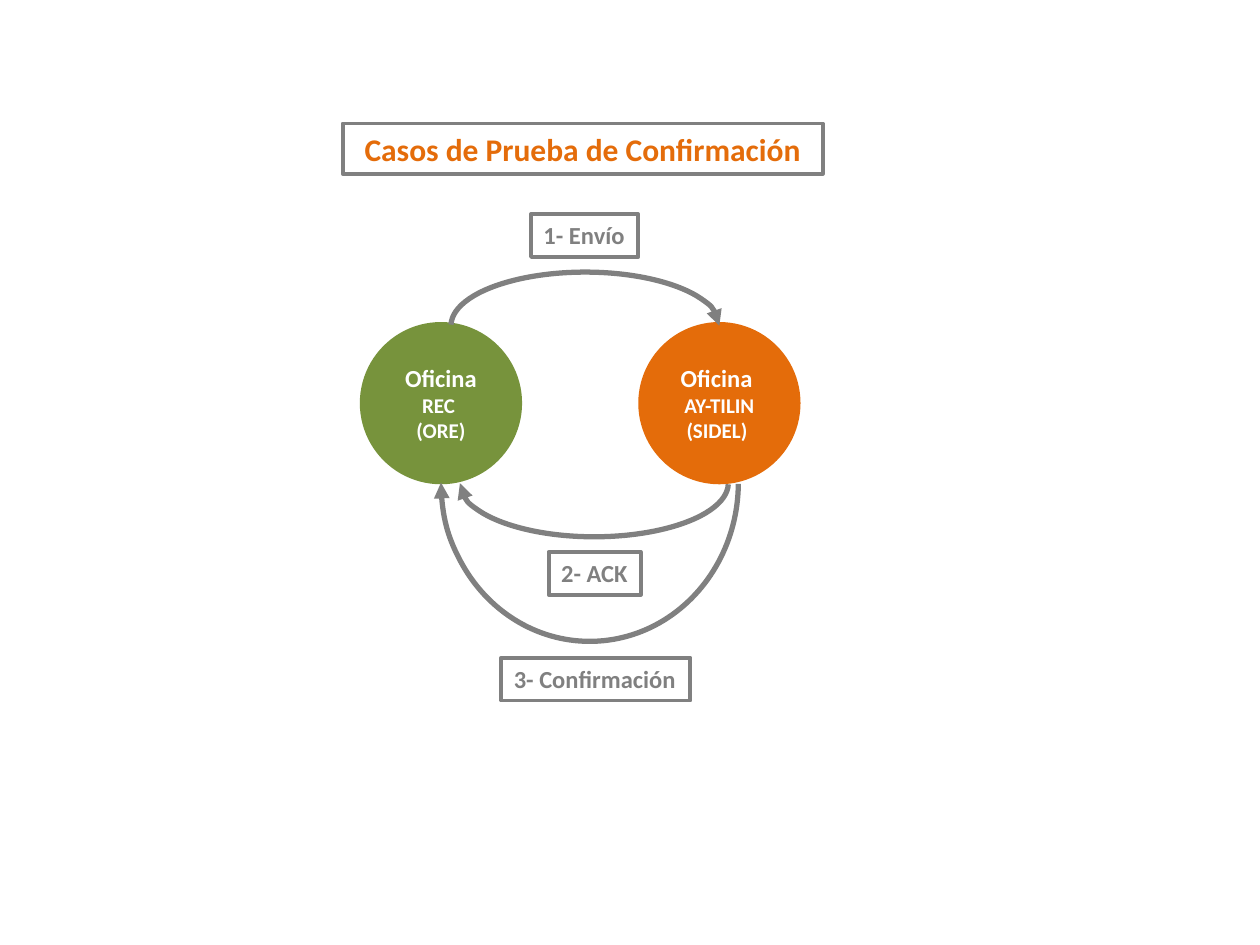
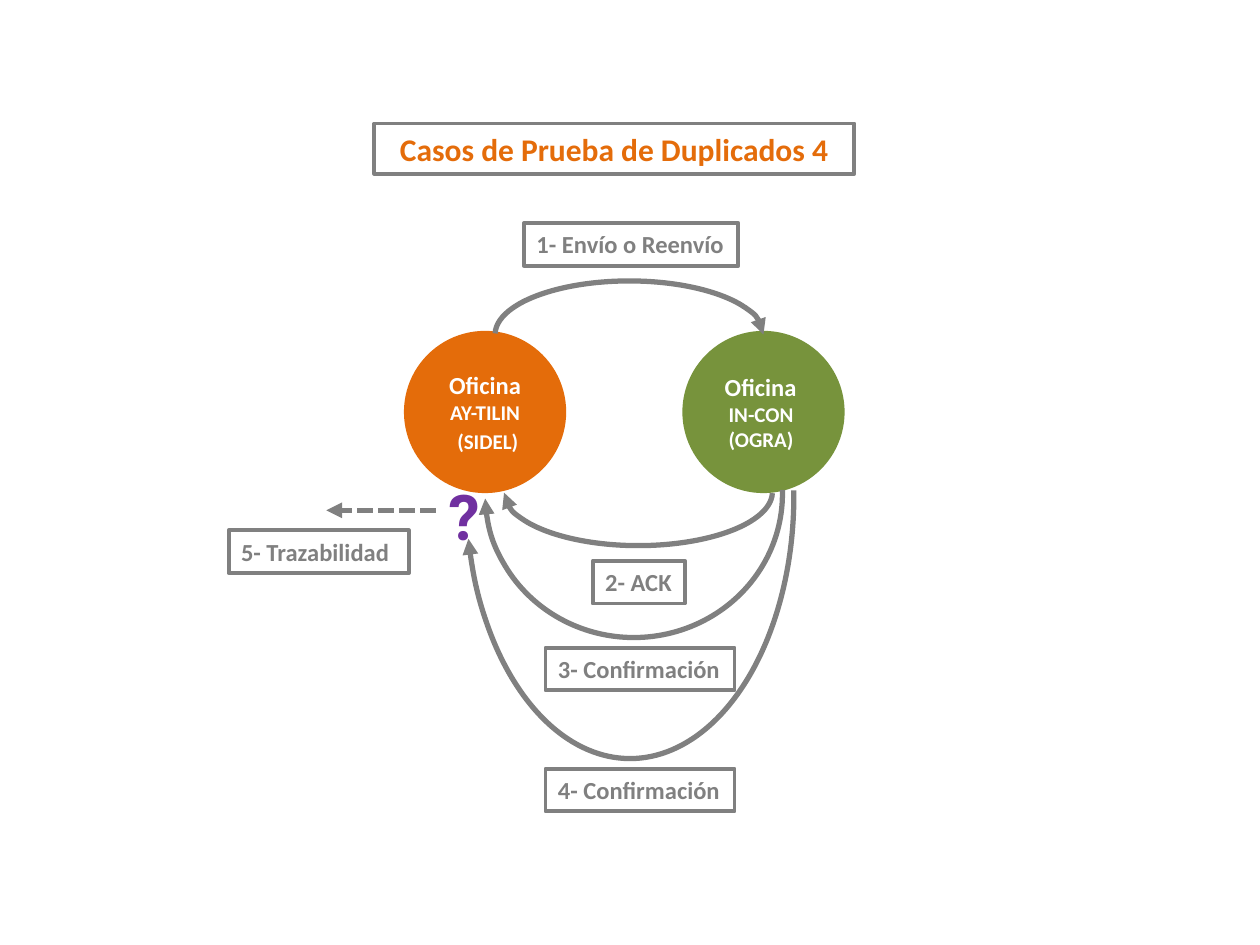
from lxml.etree import SubElement
from pptx import Presentation
from pptx.dml.color import RGBColor
from pptx.enum.dml import MSO_LINE
from pptx.enum.shapes import MSO_CONNECTOR, MSO_SHAPE
from pptx.enum.text import MSO_ANCHOR, MSO_AUTO_SIZE, PP_ALIGN
from pptx.oxml.ns import qn
from pptx.util import Inches, Pt

GREEN = RGBColor(0x77, 0x93, 0x3C)
ORANGE = RGBColor(0xE4, 0x6C, 0x0A)
GRAY = RGBColor(0x80, 0x80, 0x80)
PURPLE = RGBColor(0x70, 0x30, 0xA0)
WHITE = RGBColor(0xFF, 0xFF, 0xFF)

deck = Presentation()
deck.slide_width, deck.slide_height = Inches(10), Inches(7.5)
COLUMN = deck.slide_width / 10
ROW = deck.slide_height / 7.5

# Measures in columns and rows, shared by both diagrams
CIRCLE = 1.26
CIRCLE_STEP = 2.21
LABEL_HEIGHT = 0.34
TITLE_TOP, TITLE_WIDTH, TITLE_HEIGHT = 0.98, 3.81, 0.4


def place(left, top, width, height):
    """Turn columns and rows into slide lengths."""
    return [int(left * COLUMN), int(top * ROW), int(width * COLUMN), int(height * ROW)]


def draw_line(shape, color, width, arrow=False, dash=None):
    """Style an outline, with an arrowhead at its end if asked."""
    shape.line.color.rgb = color
    shape.line.width = Pt(width)
    if dash:
        shape.line.dash_style = dash
    if arrow:
        outline = shape._element.spPr.find(qn("a:ln"))
        SubElement(outline, qn("a:tailEnd"), type="triangle")


# Offices: colour, then paragraphs of (text, size) spans.
# Arcs: offset from the first circle, size, rotation, start and end degrees.
# Labels: text, centre and top from the first circle, width.
SLIDES = [
    {
        "title": "Casos de Prueba de Confirmación",
        "title_left": 2.72,
        "origin": (2.87, 2.57),
        "offices": [
            (GREEN, [[("Oficina ", 14), ("REC ", 12)], [("(ORE)", 12)]]),
            (ORANGE, [[("Oficina ", 14)], [("AY-TILIN", 12)], [("(SIDEL) ", 12)]]),
        ],
        "arcs": [
            (0.71, -0.41, 2.13, 0.85, 0, 180.46, 0),
            (0.78, 0.84, 2.13, 0.85, 180, 180.46, 0),
            (0.63, 0, 2.36, 2.52, 180, 180.46, 0),
        ],
        "labels": [
            ("1- Envío", 1.77, -0.87, 0.85),
            ("2- ACK", 1.85, 1.81, 0.73),
            ("3- Confirmación", 1.86, 2.65, 1.5),
        ],
    },
    {
        "title": "Casos de Prueba de Duplicados 4",
        "title_left": 2.97,
        "origin": (3.22, 2.64),
        "offices": [
            (ORANGE, [[("Oficina ", 14), ("AY-TILIN", 12)], [(" ", 14), ("(SIDEL)", 12)]]),
            (GREEN, [[("Oficina ", 14)], [("IN-CON ", 12)], [("(OGRA) ", 12)]]),
        ],
        "arcs": [
            (0.71, -0.41, 2.13, 0.85, 0, 180.46, 0),
            (0.78, 0.84, 2.13, 0.85, 180, 180.46, 359.74),
            (0.63, 0.14, 2.36, 2.28, 180, 178.44, 358.2),
            (0.48, -0.79, 2.6, 4.17, 180, 178.1, 345.1),
        ],
        "labels": [
            ("1- Envío o Reenvío", 1.79, -0.87, 1.7),
            ("2- ACK", 1.85, 1.81, 0.73),
            ("3- Confirmación", 1.86, 2.5, 1.5),
            ("4- Confirmación", 1.86, 3.46, 1.5),
            ("5- Trazabilidad", -0.69, 1.57, 1.43),
        ],
    },
]

for content in SLIDES:
    page = deck.slides.add_slide(deck.slide_layouts[5])
    origin_x, origin_y = content["origin"]

    # Title
    title = page.shapes.title
    title.left, title.top, title.width, title.height = place(
        content["title_left"], TITLE_TOP, TITLE_WIDTH, TITLE_HEIGHT)
    draw_line(title, GRAY, 2.25)
    title.text_frame.text = content["title"]
    title.text_frame.auto_size = MSO_AUTO_SIZE.NONE
    title.text_frame.vertical_anchor = MSO_ANCHOR.TOP
    para = title.text_frame.paragraphs[0]
    para.alignment = PP_ALIGN.CENTER
    para.font.name, para.font.size, para.font.bold = "Calibri", Pt(18), True
    para.font.color.rgb = ORANGE

    # Offices
    for index, (color, lines) in enumerate(content["offices"]):
        circle = page.shapes.add_shape(MSO_SHAPE.OVAL, *place(
            origin_x + index * CIRCLE_STEP, origin_y, CIRCLE, CIRCLE))
        circle.shadow.inherit = False
        circle.fill.solid()
        circle.fill.fore_color.rgb = color
        draw_line(circle, color, 2)
        frame = circle.text_frame
        frame.vertical_anchor = MSO_ANCHOR.MIDDLE
        for number, spans in enumerate(lines):
            para = frame.add_paragraph() if number else frame.paragraphs[0]
            para.alignment = PP_ALIGN.CENTER
            para.font.name, para.font.bold = "Calibri", True
            para.font.color.rgb = WHITE
            for text, size in spans:
                span = para.add_run()
                span.text = text
                span.font.size = Pt(size)

    # Curved arrows
    for left, top, width, height, rotation, start, end in content["arcs"]:
        arc = page.shapes.add_shape(MSO_SHAPE.ARC, *place(
            origin_x + left, origin_y + top, width, height))
        arc.shadow.inherit = False
        arc.rotation = rotation
        # One adjustment unit is 100000, one degree is 60000
        arc.adjustments[0], arc.adjustments[1] = start * 0.6, end * 0.6
        arc.fill.background()
        draw_line(arc, GRAY, 3, arrow=True)

    # Step labels
    for text, center, top, width in content["labels"]:
        label = page.shapes.add_textbox(*place(
            origin_x + center - width / 2, origin_y + top, width, LABEL_HEIGHT))
        draw_line(label, GRAY, 2.25)
        label.text_frame.word_wrap = False
        label.text_frame.auto_size = MSO_AUTO_SIZE.SHAPE_TO_FIT_TEXT
        label.text_frame.text = text
        para = label.text_frame.paragraphs[0]
        para.font.name, para.font.size, para.font.bold = "Calibri", Pt(14), True
        para.font.color.rgb = GRAY

# Traceability arrow and question mark, on the last slide only
trace = page.shapes.add_connector(MSO_CONNECTOR.STRAIGHT, *place(3.46, 4.05, 2.59, 4.05))
draw_line(trace, GRAY, 3, arrow=True, dash=MSO_LINE.SQUARE_DOT)
SubElement(trace._element.spPr, qn("a:effectLst"))

question = page.shapes.add_textbox(*place(3.46, 3.74, 0.4, 0.71))
question.text_frame.word_wrap = False
question.text_frame.auto_size = MSO_AUTO_SIZE.SHAPE_TO_FIT_TEXT
question.text_frame.text = "?"
para = question.text_frame.paragraphs[0]
para.font.name, para.font.size, para.font.bold = "Roboto", Pt(36), True
para.font.color.rgb = PURPLE

deck.save("out.pptx")
